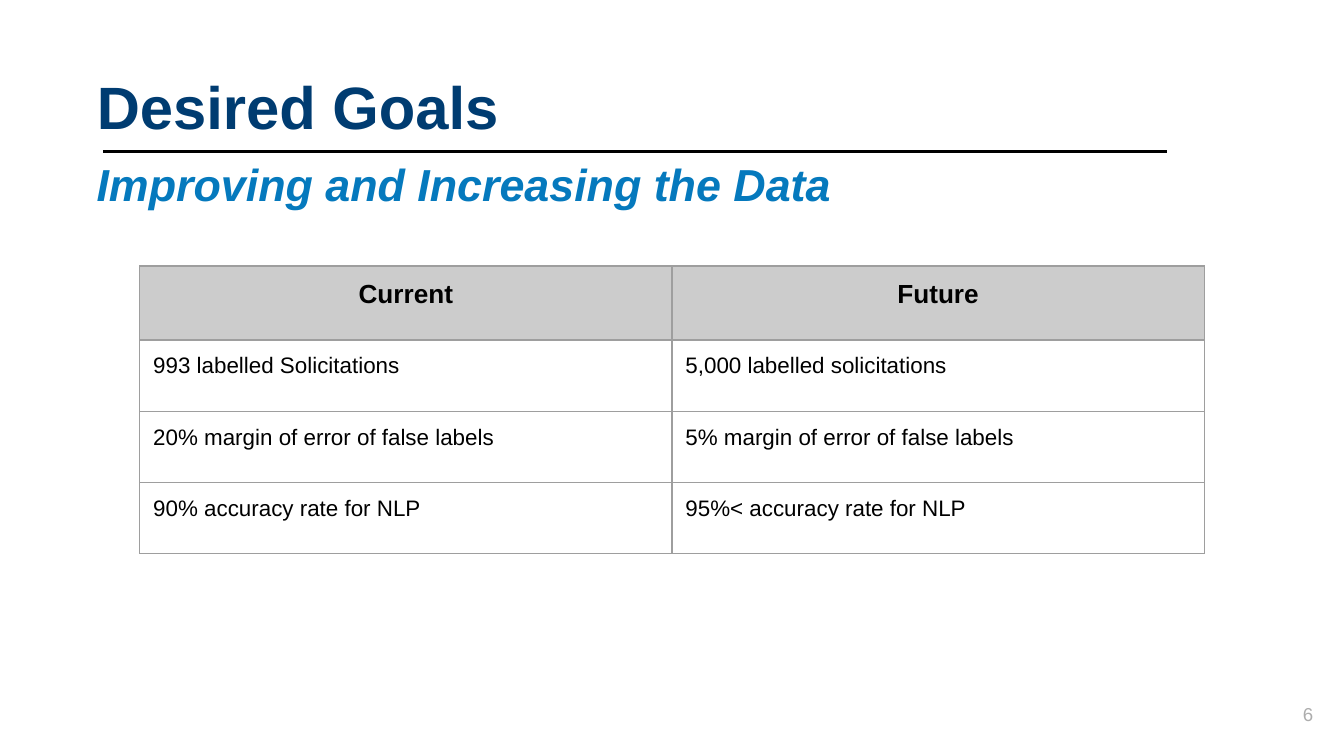
from lxml.etree import SubElement
from pptx import Presentation
from pptx.dml.color import RGBColor
from pptx.enum.shapes import MSO_CONNECTOR as Connector
from pptx.enum.text import MSO_ANCHOR as Anchor, MSO_AUTO_SIZE as AutoSize, PP_ALIGN as Align
from pptx.oxml.ns import qn
from pptx.util import Inches, Pt

FONT = "Arial"
SLIDE_WIDTH = Inches(10)
SLIDE_HEIGHT = SLIDE_WIDTH * 9 // 16
MARGINS = dict.fromkeys(
    ("margin_left", "margin_right", "margin_top", "margin_bottom"), Inches(0.1))
GOALS = [
    ("Current", "Future"),
    ("993 labelled Solicitations", "5,000 labelled solicitations"),
    ("20% margin of error of false labels", "5% margin of error of false labels"),
    ("90% accuracy rate for NLP", "95%< accuracy rate for NLP"),
]


def color(value):
    return RGBColor.from_string(value)


def set_attributes(target, values):
    for name, value in values.items():
        setattr(target, name, value)


def write(frame, text, size, ink, bold=False, italic=False, align=Align.LEFT, spacing=1.0):
    paragraph = frame.paragraphs[0]
    set_attributes(paragraph, {"alignment": align, "line_spacing": spacing})
    run = paragraph.add_run()
    run.text = text
    set_attributes(run.font, {"name": FONT, "size": Pt(size), "bold": bold, "italic": italic})
    run.font.color.rgb = color(ink)


def place_text(shape, box, anchor, text, size, ink, **style):
    set_attributes(shape, dict(zip(("left", "top", "width", "height"), map(Inches, box))))
    set_attributes(shape.text_frame, {
        "word_wrap": True, "auto_size": AutoSize.NONE, "vertical_anchor": anchor, **MARGINS})
    write(shape.text_frame, text, size, ink, **style)


def add_text(slide, box, *content, **style):
    shape = slide.shapes.add_textbox(0, 0, 0, 0)
    place_text(shape, box, *content, **style)


def add_rule(slide, left, right, y):
    rule = slide.shapes.add_connector(
        Connector.STRAIGHT, Inches(left), Inches(y), Inches(right), Inches(y))
    rule.line.width = Pt(1.5)
    rule.line.color.rgb = color("000000")
    SubElement(rule.element.spPr, qn("a:effectLst"))


def add_borders(cell, ink, width):
    properties = cell._tc.get_or_add_tcPr()
    for position, side in enumerate(("lnL", "lnR", "lnT", "lnB")):
        border = SubElement(properties, qn(f"a:{side}"), w=str(Pt(width)))
        fill = SubElement(border, qn("a:solidFill"))
        SubElement(fill, qn("a:srgbClr"), val=ink)
        properties.insert(position, border)  # borders come before the cell fill


def format_cell(cell, text, is_header):
    set_attributes(cell, MARGINS)
    if is_header:
        cell.fill.solid()
        cell.fill.fore_color.rgb = color("CCCCCC")
        write(cell.text_frame, text, 14, "000000", bold=True, align=Align.CENTER)
    else:
        cell.fill.background()
        write(cell.text_frame, text, 12, "000000")
    add_borders(cell, "9E9E9E", 0.75)


def add_goals_table(slide):
    goals = slide.shapes.add_table(
        len(GOALS), len(GOALS[0]), Inches(1.04), Inches(1.98), Inches(7.92), Inches(2.14)).table
    set_attributes(goals, {"first_row": False, "horz_banding": False})
    for index, texts in enumerate(GOALS):
        goals.rows[index].height = Inches(0.53 if index else 0.55)
        for column, text in enumerate(texts):
            format_cell(goals.cell(index, column), text, index == 0)


def main():
    deck = Presentation()
    set_attributes(deck, {"slide_width": SLIDE_WIDTH, "slide_height": SLIDE_HEIGHT})
    slide = deck.slides.add_slide(deck.slide_layouts[5])

    # Heading
    add_rule(slide, 0.77, 8.68, 1.13)
    place_text(slide.shapes.title, (0.62, 0.19, 9.77, 0.96), Anchor.BOTTOM,
               "Desired Goals", 32, "003C71", bold=True)
    add_text(slide, (0.62, 1.01, 8.03, 0.43), Anchor.TOP,
             "Improving and Increasing the Data", 24, "0579BD",
             bold=True, italic=True, spacing=1.15)

    # Current and future goals
    add_goals_table(slide)

    # Page number
    add_text(slide, (9.27, 5.1, 0.6, 0.43), Anchor.MIDDLE, "6", 10, "ADADAD", align=Align.RIGHT)

    deck.save("out.pptx")


if __name__ == "__main__":
    main()
